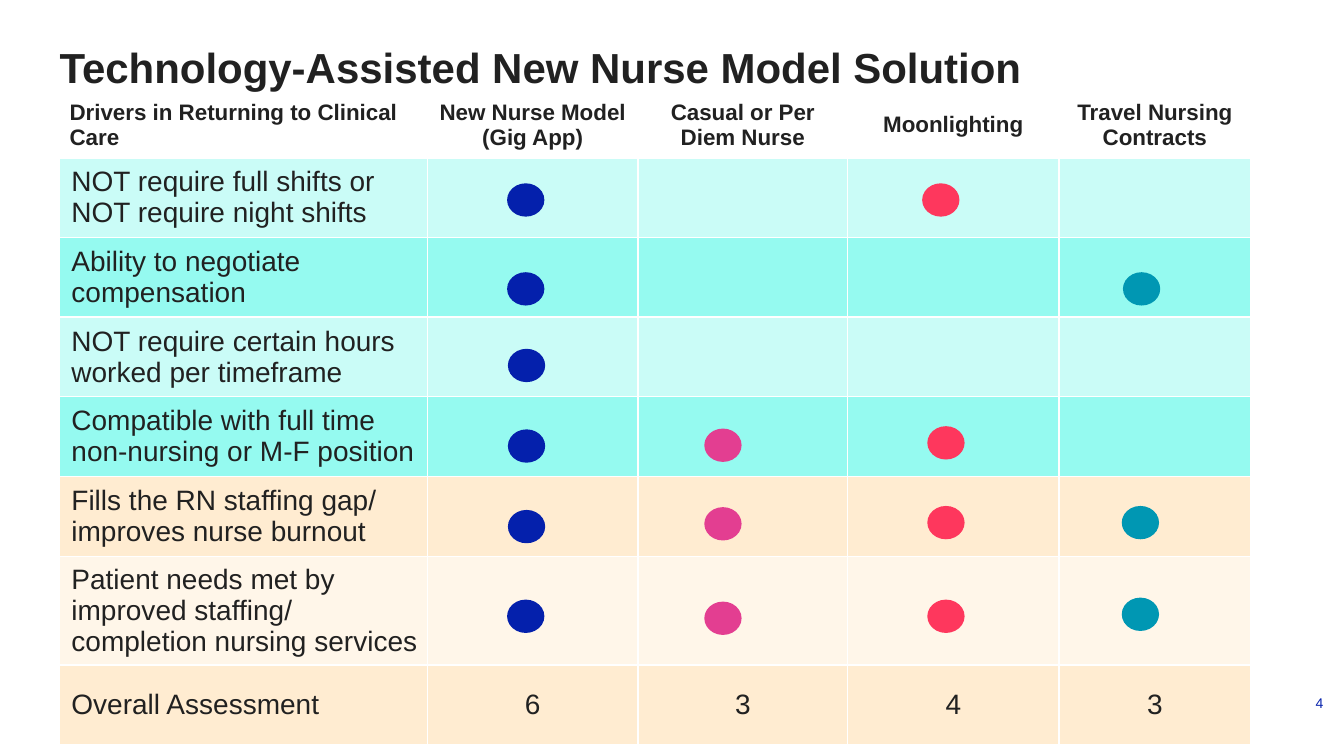
from dataclasses import dataclass

from lxml import etree
from pptx import Presentation
from pptx import util as u
from pptx.dml.color import RGBColor
from pptx.enum import shapes, text
from pptx.oxml import ns


@dataclass(frozen=True)
class Theme:
    font: str = "Arial"
    ink: str = "212121"
    white: str = "FFFFFF"
    mint: str = "CAFCF7"
    aqua: str = "95FAF0"
    peach: str = "FFECD1"
    cream: str = "FFF6E9"
    blue: str = "0420AC"
    pink: str = "E33E91"
    red: str = "FE375D"
    teal: str = "0097B3"
    title_size: int = 30
    header_size: int = 16
    body_size: int = 20
    number_size: int = 10


@dataclass(frozen=True)
class Box:
    left: float
    top: float
    width: float
    height: float

    def lengths(self):
        return [u.Cm(v) for v in (self.left, self.top, self.width, self.height)]


THEME = Theme()
COLUMN_WIDTHS = [9.27, 5.31, 5.28, 5.33, 4.83]
HEADER_HEIGHT, ROW_HEIGHT, TALL_ROW_HEIGHT = 1.63, 2.01, 2.72
HEADERS = ["Drivers in Returning to Clinical Care", "New Nurse Model (Gig App)",
           "Casual or Per Diem Nurse", "Moonlighting", "Travel Nursing Contracts"]
DRIVERS = [
    ("NOT require full shifts or NOT require night shifts", THEME.mint),
    ("Ability to negotiate compensation", THEME.aqua),
    ("NOT require certain hours worked per timeframe", THEME.mint),
    ("Compatible with full time non-nursing or M-F position", THEME.aqua),
    ("Fills the RN staffing gap/ improves nurse burnout", THEME.peach),
    ("Patient needs met by improved staffing/ completion nursing services", THEME.cream),
]
TOTALS = ["Overall Assessment", "6", "3", "4", "3"]
DOT_WIDTH, DOT_HEIGHT = 0.94, 0.84
DOTS = {
    THEME.blue: [(11.28, 2.28), (11.28, 4.52), (11.3, 6.45),
                 (11.3, 8.48), (11.3, 10.51), (11.28, 12.77)],
    THEME.pink: [(16.25, 8.46), (16.25, 10.44), (16.25, 12.82)],
    THEME.red: [(21.74, 2.28), (21.87, 8.4), (21.87, 10.41), (21.87, 12.77)],
    THEME.teal: [(26.8, 4.52), (26.77, 10.41), (26.77, 12.72)],
}


def write(para, wording, size, color=THEME.ink, bold=False, align=text.PP_ALIGN.LEFT):
    para.alignment = align
    span = para.add_run()
    span.text = wording
    span.font.name = THEME.font
    span.font.size = u.Pt(size)
    span.font.bold = bold
    span.font.color.rgb = RGBColor.from_string(color)


def style_cell(cell, fill, bottom_width=1):
    properties = cell._tc.get_or_add_tcPr()
    for side, width in (("L", 1), ("R", 1), ("T", 1), ("B", bottom_width)):
        line = etree.SubElement(properties, ns.qn(f"a:ln{side}"), w=str(u.Pt(width)))
        solid = etree.SubElement(line, ns.qn("a:solidFill"))
        etree.SubElement(solid, ns.qn("a:srgbClr"), val=THEME.white)
    cell.fill.solid()
    cell.fill.fore_color.rgb = RGBColor.from_string(fill)
    cell.vertical_anchor = text.MSO_ANCHOR.MIDDLE


def add_title(page, box):
    title = page.shapes.title
    title.left, title.top, title.width, title.height = box.lengths()
    frame = title.text_frame
    frame.margin_left = frame.margin_right = frame.margin_top = frame.margin_bottom = 0
    frame.vertical_anchor = text.MSO_ANCHOR.TOP
    frame.word_wrap = True
    frame.auto_size = text.MSO_AUTO_SIZE.SHAPE_TO_FIT_TEXT
    write(frame.paragraphs[0], "Technology-Assisted New Nurse Model Solution",
          THEME.title_size, bold=True)


def add_comparison(page, box):
    rows = [(HEADERS, THEME.white)]
    rows += [([driver, "", "", "", ""], fill) for driver, fill in DRIVERS]
    rows += [(TOTALS, THEME.peach)]
    heights = [HEADER_HEIGHT] + [ROW_HEIGHT] * 5 + [TALL_ROW_HEIGHT, ROW_HEIGHT]
    table = page.shapes.add_table(len(rows), len(HEADERS), *box.lengths()).table
    for column, width in zip(table.columns, COLUMN_WIDTHS):
        column.width = u.Cm(width)
    for r, ((words, fill), height) in enumerate(zip(rows, heights)):
        table.rows[r].height = u.Cm(height)
        header = r == 0
        for c, wording in enumerate(words):
            cell = table.cell(r, c)
            style_cell(cell, fill, 3 if header else 1)
            if not header:
                cell.margin_left = u.Cm(0.15 if c else 0.3)
                cell.margin_right = u.Cm(0.15)
                cell.margin_top = cell.margin_bottom = u.Cm(0.1)
            if wording:
                write(cell.text_frame.paragraphs[0], wording,
                      THEME.header_size if header else THEME.body_size, bold=header,
                      align=text.PP_ALIGN.CENTER if c else text.PP_ALIGN.LEFT)


def add_dots(page, box):
    for color, places in DOTS.items():
        for left, top in places:
            spot = Box(box.left + left, box.top + top, DOT_WIDTH, DOT_HEIGHT)
            dot = page.shapes.add_shape(shapes.MSO_SHAPE.OVAL, *spot.lengths())
            dot.shadow.inherit = False
            dot.fill.solid()
            dot.fill.fore_color.rgb = RGBColor.from_string(color)
            dot.line.fill.background()


def add_page_number(page, box):
    frame = page.shapes.add_textbox(*box.lengths()).text_frame
    frame.word_wrap = True
    frame.vertical_anchor = text.MSO_ANCHOR.MIDDLE
    write(frame.paragraphs[0], "4", THEME.number_size, THEME.blue,
          align=text.PP_ALIGN.RIGHT)


def main():
    deck = Presentation()
    deck.slide_width, deck.slide_height = u.Cm(33.87), u.Cm(19.05)
    page = deck.slides.add_slide(deck.slide_layouts.get_by_name("Title Only"))
    comparison = Box(1.5, 2.34, sum(COLUMN_WIDTHS), 16.41)
    add_comparison(page, comparison)
    add_page_number(page, Box(32.33, 17.27, 1.27, 0.91))
    add_title(page, Box(1.5, 1.04, 28.37, 1.27))
    add_dots(page, comparison)
    deck.save("out.pptx")


if __name__ == "__main__":
    main()
